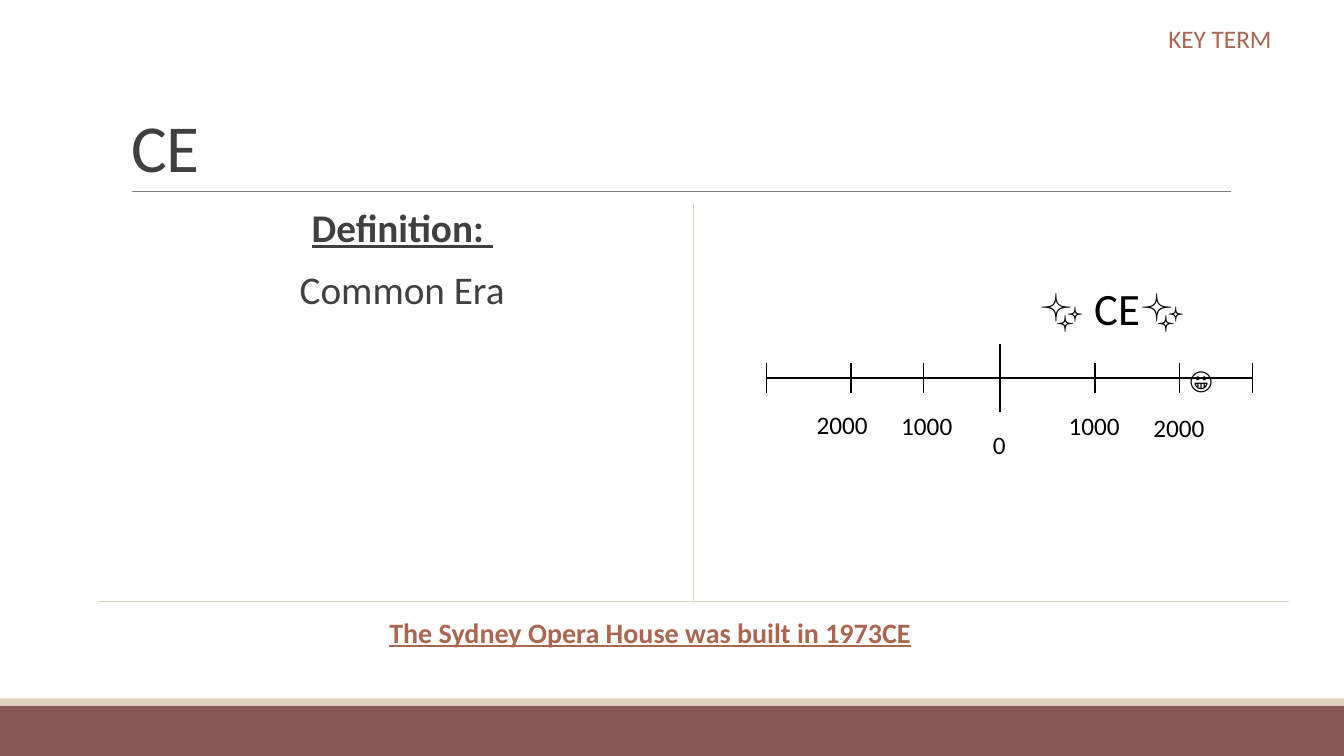
from lxml import etree
from pptx import Presentation
from pptx import util as u
from pptx.dml.color import RGBColor
from pptx.enum import shapes, text
from pptx.oxml import ns

COLORS = {"ink": "404040", "accent": "AA6650", "sand": "E1D2BF",
          "band": "865852", "rule": "808080", "black": "000000"}
FONT = "Calibri"
AXIS_Y = 3.75
TICK_HALF, ZERO_HALF = 0.15, 0.34
ZERO_X = 9.92
TICKS = [7.6, 8.44, 9.16, 10.86, 11.7, 12.42]
YEARS = [("2000", 8, 4.01), ("1000", 8.84, 4.02),
         ("1000", 10.5, 4.02), ("2000", 11.34, 4.04)]


class KeyTermSlide:
    def __init__(self, prs):
        self.slide = prs.slides.add_slide(prs.slide_layouts[1])

    def color(self, name):
        return RGBColor.from_string(COLORS[name])

    def place(self, shape, box):
        shape.left, shape.top, shape.width, shape.height = map(u.Inches, box)

    def style(self, paragraph, size, color, strong=False):
        for run in paragraph.runs:
            font = run.font
            font.name, font.size = FONT, u.Pt(size)
            font.bold = font.underline = strong
            font.color.rgb = self.color(color)

    def band(self, top, height, color):
        strip = self.slide.shapes.add_shape(
            shapes.MSO_SHAPE.RECTANGLE, 0, u.Inches(top), u.Inches(13.33), u.Inches(height))
        strip.shadow.inherit = False
        strip.fill.solid()
        strip.fill.fore_color.rgb = self.color(color)
        strip.line.fill.background()

    def line(self, x1, y1, x2, y2, color="black", width=1):
        rule = self.slide.shapes.add_connector(
            shapes.MSO_CONNECTOR.STRAIGHT, *map(u.Inches, (x1, y1, x2, y2)))
        rule.line.color.rgb = self.color(color)
        rule.line.width = u.Pt(width)
        etree.SubElement(rule._element.spPr, ns.qn("a:effectLst"))

    def title(self, wording, box):
        heading = self.slide.shapes.title
        self.place(heading, box)
        frame = heading.text_frame
        frame.text = wording
        frame.auto_size = text.MSO_AUTO_SIZE.NONE
        frame.vertical_anchor = text.MSO_ANCHOR.BOTTOM
        paragraph = frame.paragraphs[0]
        paragraph.alignment = text.PP_ALIGN.LEFT
        paragraph.line_spacing = 0.85
        self.style(paragraph, 48, "ink")
        paragraph.runs[0].font._element.set("spc", "-50")

    def statements(self, shape, items, size, color):
        """Fill a shape with centred (wording, strong) paragraphs that have blank bullets."""
        frame = shape.text_frame
        frame.word_wrap = True
        frame.auto_size = text.MSO_AUTO_SIZE.NONE
        frame.vertical_anchor = text.MSO_ANCHOR.TOP
        frame.margin_left = frame.margin_right = 0
        frame.text = "\n".join(wording for wording, _ in items)
        for index, (paragraph, (_, strong)) in enumerate(zip(frame.paragraphs, items)):
            props = paragraph._p.get_or_add_pPr()
            props.set("marL", str(u.Inches(0.1)))
            props.set("indent", str(u.Inches(-0.1)))
            tint = etree.SubElement(props, ns.qn("a:buClr"))
            etree.SubElement(tint, ns.qn("a:srgbClr"), val=COLORS["sand"])
            etree.SubElement(props, ns.qn("a:buChar"), char=" ")
            paragraph.alignment = text.PP_ALIGN.CENTER
            paragraph.line_spacing = 0.9
            paragraph.space_before = u.Pt(12 if index else 0)
            paragraph.space_after = u.Pt(2)
            self.style(paragraph, size, color, strong)

    def body(self, items, box):
        definition = self.slide.placeholders[1]
        self.place(definition, box)
        self.statements(definition, items, 28, "ink")

    def example(self, wording, box):
        sentence = self.slide.shapes.add_textbox(*map(u.Inches, box))
        self.statements(sentence, [(wording, True)], 20, "accent")

    def label(self, wording, box, size=18, color="black", centred=False):
        """Add a short text; a centred one wraps in its box, others stay on one line."""
        caption = self.slide.shapes.add_textbox(*map(u.Inches, box))
        frame = caption.text_frame
        frame.text = wording
        frame.word_wrap = centred
        frame.auto_size = text.MSO_AUTO_SIZE.SHAPE_TO_FIT_TEXT
        if centred:
            frame.paragraphs[0].alignment = text.PP_ALIGN.CENTER
        self.style(frame.paragraphs[0], size, color)

    def timeline(self):
        self.line(TICKS[0], AXIS_Y, TICKS[-1], AXIS_Y)
        self.line(ZERO_X, AXIS_Y - ZERO_HALF, ZERO_X, AXIS_Y + ZERO_HALF)
        for x in TICKS:
            self.line(x, AXIS_Y - TICK_HALF, x, AXIS_Y + TICK_HALF)
        self.label("0", (9.75, 4.21, 0.33, 0.4))
        for year, left, top in YEARS:
            self.label(year, (left, top, 0.71, 0.4))
        self.label("✨ CE✨", (10.07, 2.74, 1.92, 0.64), size=32, centred=True)
        self.label("😀", (11.7, 3.57, 0.45, 0.4))


def main():
    prs = Presentation()
    prs.slide_width, prs.slide_height = u.Inches(13.33), u.Inches(7.5)
    page = KeyTermSlide(prs)
    page.band(7, 0.5, "band")
    page.band(6.93, 0.07, "sand")
    page.line(1.31, 1.9, 12.21, 1.9, "rule", 0.5)
    page.title("CE", (1.2, 1.08, 11, 0.82))
    page.body([("Definition: ", True), ("Common Era", False)], (1.2, 2.02, 5.47, 3.58))
    page.label("KEY TERM", (10.86, 0.18, 2.48, 0.4), color="accent", centred=True)
    page.line(6.88, 2.02, 6.88, 5.97, "sand")
    page.line(12.78, 5.97, 0.97, 5.97, "sand")
    page.example("The Sydney Opera House was built in 1973CE", (1.2, 6.09, 10.36, 0.82))
    page.timeline()
    prs.save("out.pptx")


if __name__ == "__main__":
    main()
